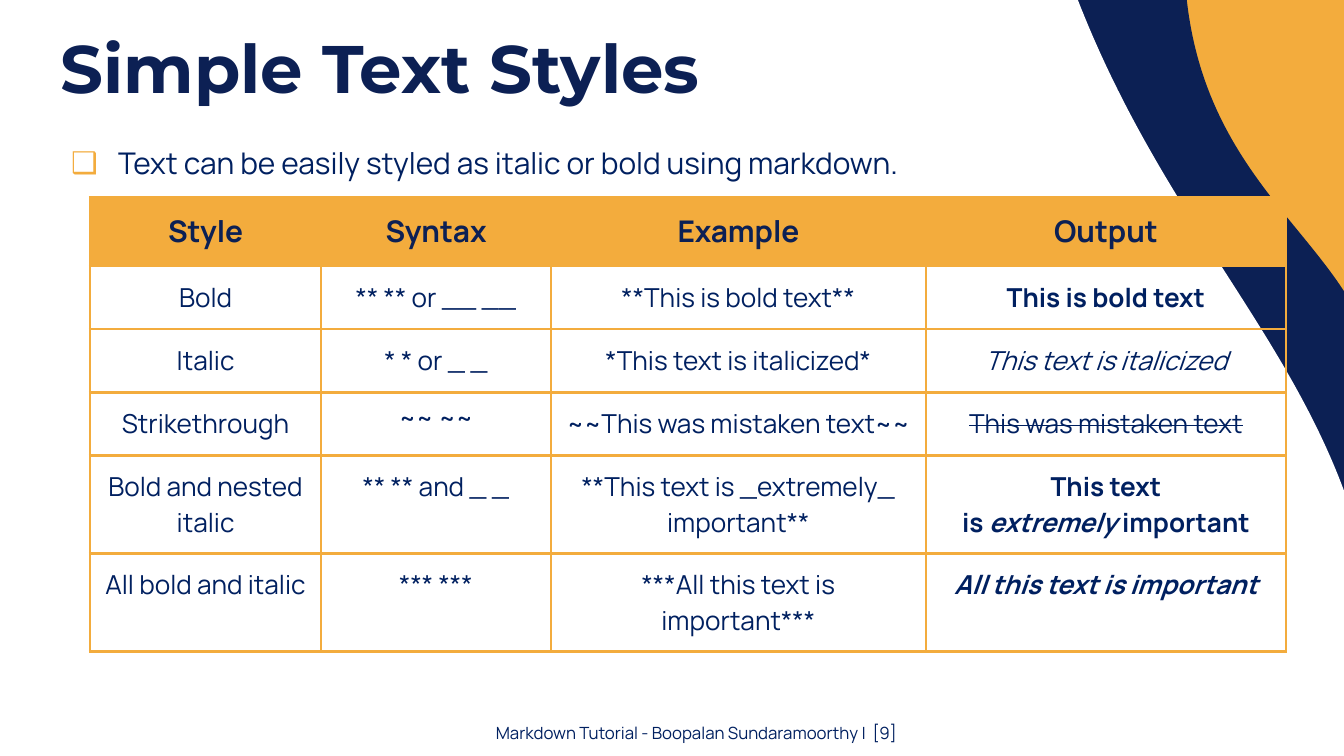
from lxml.etree import SubElement
from pptx import Presentation
from pptx.dml.color import RGBColor
from pptx.enum.shapes import MSO_SHAPE
from pptx.enum.text import MSO_ANCHOR, MSO_AUTO_SIZE, PP_ALIGN
from pptx.oxml.ns import qn
from pptx.util import Inches, Pt

NAVY = RGBColor(0x0C, 0x20, 0x54)
TEXT = RGBColor(0x00, 0x20, 0x60)
ORANGE = RGBColor(0xF3, 0xAC, 0x3D)
WHITE = RGBColor(0xFF, 0xFF, 0xFF)
INSET = Inches(0.1)
NBSP = chr(160)  # no-break space

COLUMNS = [1.72, 1.71, 2.79, 2.68]
HEADER_HEIGHT, LINE_HEIGHT, TWO_LINE_HEIGHT = 0.51, 0.47, 0.73
ROW_HEIGHTS = [HEADER_HEIGHT] + [LINE_HEIGHT] * 3 + [TWO_LINE_HEIGHT] * 2
HEADER = ["Style", "Syntax", "Example", "Output"]
# The output column is a list of runs: text and its styles (b, i, s).
ROWS = [
    ("Bold", f"** **{NBSP}or{NBSP}__ __", "**This is bold text**",
     [("This is bold text", "b")]),
    ("Italic", f"* *{NBSP}or{NBSP}_ _", "*This text is italicized*",
     [("This text is italicized", "i")]),
    ("Strikethrough", "~~ ~~", "~~This was mistaken text~~",
     [("This was mistaken text", "s")]),
    ("Bold and nested italic", f"** **{NBSP}and{NBSP}_ _",
     "**This text is _extremely_ important**",
     [(f"This text is{NBSP}", "b"), ("extremely", "bi"),
      (f"{NBSP}important", "b")]),
    ("All bold and italic", "*** ***", "***All this text is important***",
     [("All this text is important", "bi")]),
]


def add_run(p, text, size, color=TEXT, font="Manrope", styles=""):
    r = p.add_run()
    r.text = text
    r.font.name = font
    r.font.size = Pt(size)
    r.font.color.rgb = color
    r.font.bold = "b" in styles
    r.font.italic = "i" in styles
    if "s" in styles:
        r._r.get_or_add_rPr().set("strike", "sngStrike")


def set_insets(obj):
    obj.margin_left = obj.margin_right = INSET
    obj.margin_top = obj.margin_bottom = INSET


def add_wave(s, box, rotation, color):
    sp = s.shapes.add_shape(MSO_SHAPE.FLOWCHART_DOCUMENT, *map(Inches, box))
    sp.rotation = rotation
    sp.shadow.inherit = False
    sp.fill.solid()
    sp.fill.fore_color.rgb = color
    sp.line.fill.background()


def add_backdrop(s):
    s.background.fill.solid()
    s.background.fill.fore_color.rgb = ORANGE
    add_wave(s, (4.66, -1.37, 4.36, 6.93), 267, NAVY)
    add_wave(s, (-0.56, -2.74, 10.13, 11.42), 264.8, WHITE)


def place_title(s, box, text):
    """Fill the title placeholder and bring it in front of the backdrop."""
    sp = s.shapes.title
    s.shapes._spTree.append(sp._element)
    sp.left, sp.top, sp.width, sp.height = map(Inches, box)
    tf = sp.text_frame
    set_insets(tf)
    tf.auto_size = MSO_AUTO_SIZE.NONE
    tf.vertical_anchor = MSO_ANCHOR.MIDDLE
    p = tf.paragraphs[0]
    p.alignment = PP_ALIGN.LEFT
    add_run(p, text, 36, NAVY, "Montserrat", "b")


def add_text(s, box, text, size, align, margin, indent=0, bullet=None):
    tf = s.shapes.add_textbox(*map(Inches, box)).text_frame
    tf.word_wrap = True
    set_insets(tf)
    p = tf.paragraphs[0]
    p.alignment = align
    p.line_spacing = 1.5
    pPr = p._p.get_or_add_pPr()
    pPr.set("marL", str(Inches(margin)))
    pPr.set("indent", str(Inches(indent)))
    if bullet:
        color = SubElement(pPr, qn("a:buClr"))
        SubElement(color, qn("a:srgbClr"), val=str(ORANGE))
        SubElement(pPr, qn("a:buFont"), typeface="Manrope")
        SubElement(pPr, qn("a:buChar"), char=bullet)
    add_run(p, text, size)


def add_borders(cell):
    tcPr = cell._tc.get_or_add_tcPr()
    for i, side in enumerate(("lnL", "lnR", "lnT", "lnB")):
        ln = tcPr.makeelement(qn(f"a:{side}"), {"w": str(Pt(1.5))})
        fill = SubElement(ln, qn("a:solidFill"))
        SubElement(fill, qn("a:srgbClr"), val=str(ORANGE))
        tcPr.insert(i, ln)


def fill_cell(cell, runs, size, color=TEXT):
    set_insets(cell)
    p = cell.text_frame.paragraphs[0]
    p.alignment = PP_ALIGN.CENTER
    for text, styles in runs:
        add_run(p, text, size, color, styles=styles)
    add_borders(cell)


def add_style_table(s, left, top):
    table = s.shapes.add_table(
        len(ROW_HEIGHTS), len(COLUMNS), Inches(left), Inches(top),
        Inches(sum(COLUMNS)), Inches(sum(ROW_HEIGHTS))).table
    table.first_row = table.horz_banding = False
    for column, width in zip(table.columns, COLUMNS):
        column.width = Inches(width)
    for row, height in zip(table.rows, ROW_HEIGHTS):
        row.height = Inches(height)
    for c, text in enumerate(HEADER):
        cell = table.cell(0, c)
        cell.fill.solid()
        cell.fill.fore_color.rgb = ORANGE
        fill_cell(cell, [(text, "b")], 16, NAVY)
    for r, (*plain, output) in enumerate(ROWS, 1):
        for c, runs in enumerate([[(text, "")] for text in plain] + [output]):
            cell = table.cell(r, c)
            cell.fill.background()
            fill_cell(cell, runs, 14)
    strike_syntax = table.cell(3, 1)
    strike_syntax.margin_top = strike_syntax.margin_bottom = Inches(0.05)


def main():
    prs = Presentation()
    prs.slide_width = Inches(10)
    prs.slide_height = prs.slide_width * 9 // 16
    s = prs.slides.add_slide(prs.slide_layouts[5])
    add_backdrop(s)
    place_title(s, (0.35, 0.23, 8.43, 0.53), "Simple Text Styles")
    add_text(s, (0.28, 0.84, 8.35, 2.53),
             "Text can be easily styled as italic or bold using markdown.",
             16, PP_ALIGN.JUSTIFY, 0.5, -0.35, "❑")
    add_text(s, (0.47, 5.2, 9.25, 0.39),
             "Markdown Tutorial - Boopalan Sundaramoorthy |  [9]",
             9, PP_ALIGN.CENTER, 0.17)
    add_style_table(s, 0.67, 1.47)
    prs.save("out.pptx")


if __name__ == "__main__":
    main()
